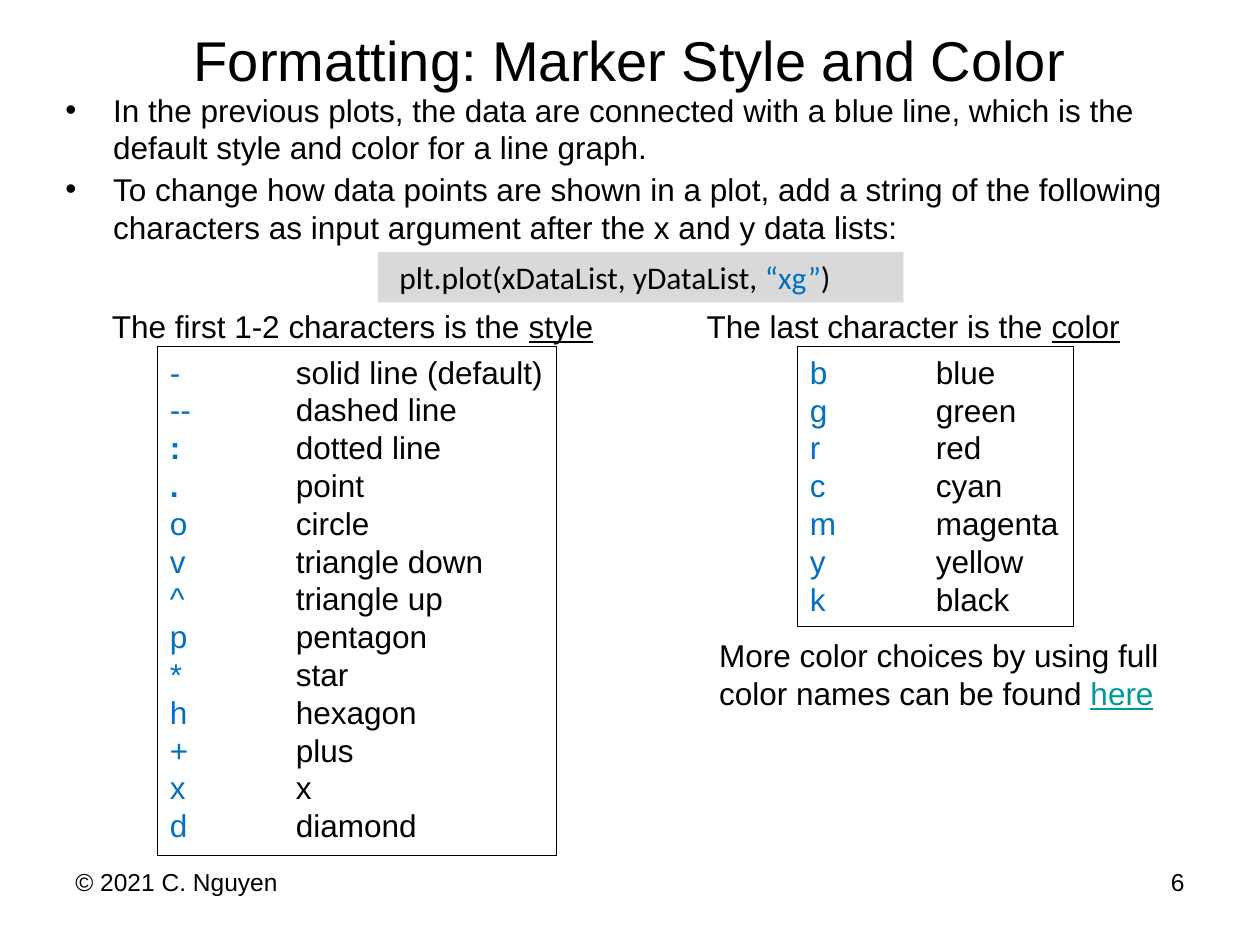
import pptx
import pptx.dml.color
import pptx.enum.shapes
import pptx.enum.text
import pptx.oxml.ns
import pptx.util
from lxml import etree

Inches, Pt = pptx.util.Inches, pptx.util.Pt
ALIGN = pptx.enum.text.PP_ALIGN
ANCHOR = pptx.enum.text.MSO_ANCHOR
COLORS = {"text": "000000", "code": "0070C0", "link": "009999", "gray": "D9D9D9"}

STYLES = [
    ("-", "solid line (default)"), ("--", "dashed line"), (":", "dotted line"),
    (".", "point"), ("o", "circle"), ("v", "triangle down"), ("^", "triangle up"),
    ("p", "pentagon"), ("*", "star"), ("h", "hexagon"), ("+", "plus"),
    ("x", "x"), ("d", "diamond"),
]
LINE_COLORS = [
    ("b", "blue"), ("g", "green"), ("r", "red"), ("c", "cyan"),
    ("m", "magenta"), ("y", "yellow"), ("k", "black"),
]
BULLETS = [
    "In the previous plots, the data are connected with a blue line, "
    "which is the default style and color for a line graph.",
    "To change how data points are shown in a plot, add a string of the following "
    "characters as input argument after the x and y data lists:",
]


def rgb(name):
    return pptx.dml.color.RGBColor.from_string(COLORS[name])


def add_run(p, text, size=18, font="Arial", color="text", bold=False, underline=False):
    r = p.add_run()
    r.text = text
    r.font.size, r.font.name = Pt(size), font
    r.font.color.rgb = rgb(color)
    r.font.bold, r.font.underline = bold, underline


def add_child(parent, tag, **attrs):
    child = etree.SubElement(parent, pptx.oxml.ns.qn(tag))
    for key, value in attrs.items():
        child.set(key, str(value))
    return child


class SlideBuilder:
    def __init__(self, prs):
        self.s = prs.slides.add_slide(prs.slide_layouts[5])

    def title(self, text, box):
        sp = self.s.shapes.title
        sp.left, sp.top, sp.width, sp.height = map(Inches, box)
        tf = sp.text_frame
        tf.auto_size = pptx.enum.text.MSO_AUTO_SIZE.NONE
        tf.vertical_anchor = ANCHOR.MIDDLE
        p = tf.paragraphs[0]
        p.alignment = ALIGN.CENTER
        add_run(p, text, size=32)

    def fill_text(self, tf, paragraphs, align=ALIGN.LEFT):
        """Each paragraph is a list of (text, format) runs."""
        for i, runs in enumerate(paragraphs):
            p = tf.add_paragraph() if i else tf.paragraphs[0]
            p.alignment = align
            for text, fmt in runs:
                add_run(p, text, **fmt)

    def text(self, box, paragraphs, align=ALIGN.LEFT):
        tf = self.s.shapes.add_textbox(*map(Inches, box)).text_frame
        tf.word_wrap = True
        self.fill_text(tf, paragraphs, align)
        return tf

    def bullets(self, box, items):
        tf = self.text(box, [[(item, {})] for item in items])
        for p, before in zip(tf.paragraphs, (6, 2)):
            p.space_before = Pt(before)
            pPr = p._p.get_or_add_pPr()
            pPr.set("marL", str(Inches(0.38)))
            pPr.set("indent", str(-Inches(0.38)))
            add_child(pPr, "a:buFont", typeface="Arial")
            add_child(pPr, "a:buChar", char="•")

    def rect(self, box, paragraphs, fill=None, line=None, wrap=True):
        kind = pptx.enum.shapes.MSO_SHAPE.RECTANGLE
        sp = self.s.shapes.add_shape(kind, *map(Inches, box))
        sp.shadow.inherit = False
        if fill:
            sp.fill.solid()
            sp.fill.fore_color.rgb = rgb(fill)
        else:
            sp.fill.background()
        if line:
            sp.line.color.rgb = rgb("text")
            sp.line.width = Pt(line)
        else:
            sp.line.fill.background()
        tf = sp.text_frame
        tf.word_wrap = wrap
        tf.vertical_anchor = ANCHOR.TOP
        self.fill_text(tf, paragraphs)
        return tf

    def key_list(self, box, rows, line, wrap=True):
        tf = self.rect(box, [
            [(key, {"color": "code", "bold": key in (":", ".")}), ("\t" + meaning, {})]
            for key, meaning in rows
        ], line=line, wrap=wrap)
        for p in tf.paragraphs:
            tabs = add_child(p._p.get_or_add_pPr(), "a:tabLst")
            add_child(tabs, "a:tab", pos=Inches(1), algn="l")


def main():
    prs = pptx.Presentation()
    prs.slide_width, prs.slide_height = Inches(10), Inches(7.5)
    slide = SlideBuilder(prs)

    # Title and introduction
    slide.title("Formatting: Marker Style and Color", (0.5, 0.08, 9, 0.78))
    slide.bullets((0.42, 0.67, 9.08, 1.33), BULLETS)

    # Code example
    code = {"font": "Calibri"}
    tf = slide.rect((3, 2, 4.17, 0.4), [[
        ("plt.plot(xDataList, yDataList, ", code),
        ("“xg”", {**code, "color": "code"}),
        (")", code),
    ]], fill="gray")
    tf.margin_left = Inches(0.17)

    # Headings and key lists
    for left, lead, word in ((0.79, "The first 1-2 characters is the ", "style"),
                             (5.51, "The last character is the ", "color")):
        slide.text((left, 2.39, 4.2, 0.4), [[(lead, {}), (word, {"underline": True})]])
    slide.key_list((1.25, 2.75, 3.17, 4.04), STYLES, line=0.5)
    slide.key_list((6.33, 2.75, 2.19, 2.22), LINE_COLORS, line=0.25, wrap=False)

    # Further colors
    slide.text((5.61, 5, 3.89, 0.7), [
        [("More color choices by using full color names can be found ", {}),
         ("here", {"color": "link", "underline": True})],
    ])

    # Footer
    slide.text((0.5, 6.83, 2.33, 0.52), [[("© 2021 C. Nguyen", {"size": 14})]])
    slide.text((7.17, 6.83, 2.33, 0.52), [[("6", {"size": 14})]], ALIGN.RIGHT)

    prs.save("out.pptx")


if __name__ == "__main__":
    main()
